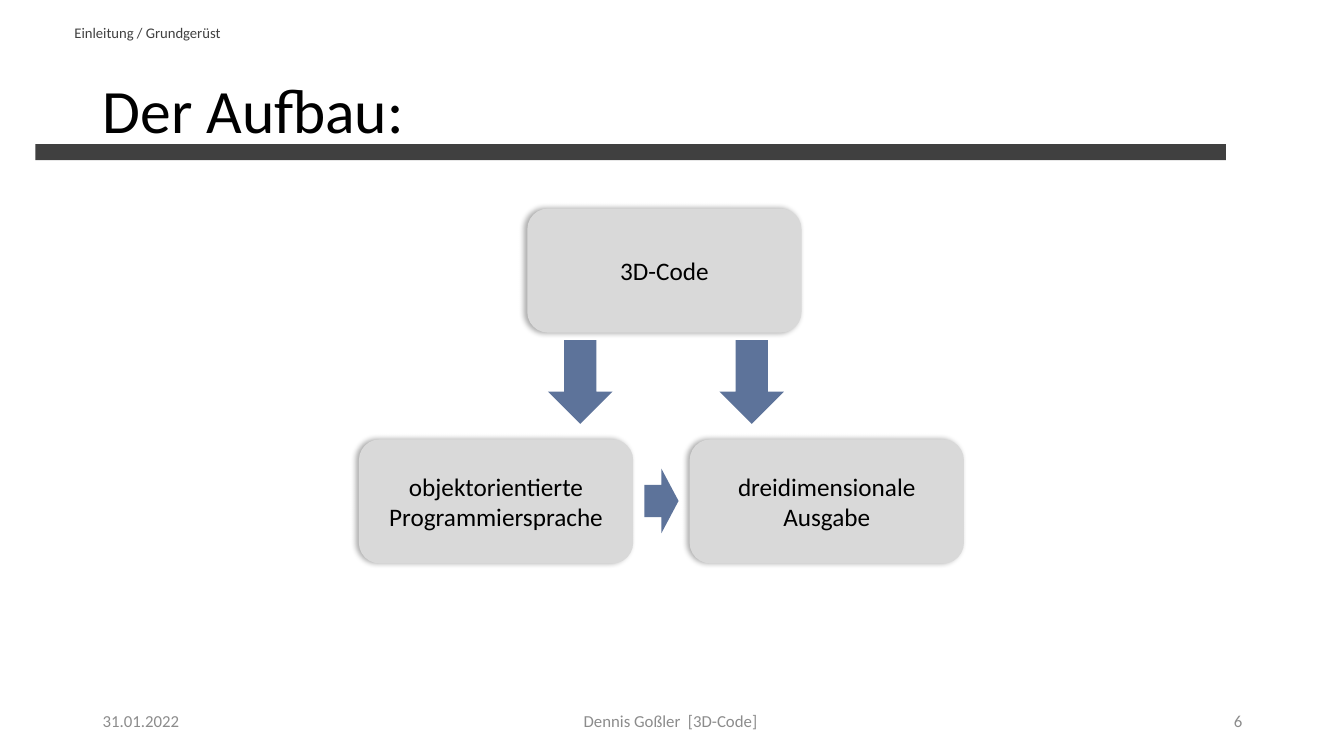
"""Build the slide "Der Aufbau" with its three-box structure diagram."""
from dataclasses import dataclass

import pptx
import pptx.dml.color
import pptx.enum.shapes
import pptx.enum.text
import pptx.oxml
import pptx.oxml.ns
import pptx.shapes.autoshape
import pptx.slide
import pptx.text.text
import pptx.util

Inches = pptx.util.Inches
Kind = pptx.enum.shapes.MSO_SHAPE
Align = pptx.enum.text.PP_ALIGN


@dataclass(frozen=True)
class Theme:
    font: str = "Calibri"
    black: str = "000000"
    dark: str = "404040"
    muted: str = "8C8C8C"
    box: str = "D9D9D9"
    arrow: str = "5D739A"
    title_size: float = 44
    box_size: float = 18
    footer_size: float = 12
    section_size: float = 10.5


@dataclass(frozen=True)
class Area:
    left: float
    top: float
    width: float
    height: float


@dataclass(frozen=True)
class Label:
    text: str
    area: Area
    size: float
    color: str
    align: Align = Align.LEFT
    spacing: float = 1.0


@dataclass(frozen=True)
class Box:
    text: str
    left: float
    top: float


@dataclass(frozen=True)
class Arrow:
    area: Area
    rotation: float = 0


THEME = Theme()
BOX_W, BOX_H = 2.72, 1.23
ROW_TOP, ROW_BOTTOM = 2.07, 4.36
FOOTER_TOP, FOOTER_H = 6.95, 0.4
SHADOW = (
    '<a:effectLst xmlns:a="http://schemas.openxmlformats.org/drawingml/2006/main">'
    '<a:outerShdw blurRad="50800" dist="25400" dir="10800000" algn="ctr" rotWithShape="0">'
    '<a:srgbClr val="000000"><a:alpha val="32000"/></a:srgbClr>'
    "</a:outerShdw></a:effectLst>"
)

LABELS = [
    Label("Der Aufbau:", Area(0.92, 0.4, 11.5, 1.45), THEME.title_size, THEME.black, spacing=0.9),
    Label("Einleitung / Grundgerüst", Area(0.64, 0.12, 3.11, 0.4), THEME.section_size, THEME.dark),
    Label("31.01.2022", Area(0.92, FOOTER_TOP, 3, FOOTER_H), THEME.footer_size, THEME.muted),
    Label("Dennis Goßler  [3D-Code] ", Area(4.42, FOOTER_TOP, 4.5, FOOTER_H),
          THEME.footer_size, THEME.muted, Align.CENTER),
    Label("6", Area(9.42, FOOTER_TOP, 3, FOOTER_H), THEME.footer_size, THEME.muted, Align.RIGHT),
]
BOXES = [
    Box("3D-Code", 5.23, ROW_TOP),
    Box("objektorientierte Programmiersprache", 3.56, ROW_BOTTOM),
    Box("dreidimensionale Ausgabe", 6.84, ROW_BOTTOM),
]
ARROWS = [
    Arrow(Area(5.34, 3.47, 0.83, 0.64), 90),
    Arrow(Area(7.04, 3.47, 0.83, 0.64), 90),
    Arrow(Area(6.39, 4.65, 0.34, 0.64)),
]
BAR = Area(0.35, 1.43, 11.81, 0.16)


def lengths(area: Area) -> tuple[pptx.util.Length, ...]:
    """Return the area's position and size as slide lengths."""
    return tuple(Inches(v) for v in (area.left, area.top, area.width, area.height))


def write(tf: pptx.text.text.TextFrame, text: str, size: float, color: str,
          align: Align, spacing: float = 1.0) -> None:
    """Fill a text frame with one vertically centred paragraph."""
    tf.word_wrap = True
    tf.vertical_anchor = pptx.enum.text.MSO_ANCHOR.MIDDLE
    p = tf.paragraphs[0]
    p.alignment = align
    p.line_spacing = spacing
    r = p.add_run()
    r.text = text
    r.font.name = THEME.font
    r.font.size = pptx.util.Pt(size)
    r.font.color.rgb = pptx.dml.color.RGBColor.from_string(color)


def add_label(s: pptx.slide.Slide, label: Label) -> None:
    """Add a text box."""
    sp = s.shapes.add_textbox(*lengths(label.area))
    write(sp.text_frame, label.text, label.size, label.color, label.align, label.spacing)


def add_solid(s: pptx.slide.Slide, kind: Kind, area: Area,
              color: str) -> pptx.shapes.autoshape.Shape:
    """Add a filled shape without outline or shadow."""
    sp = s.shapes.add_shape(kind, *lengths(area))
    sp.shadow.inherit = False
    sp.fill.solid()
    sp.fill.fore_color.rgb = pptx.dml.color.RGBColor.from_string(color)
    sp.line.fill.background()
    return sp


def add_box(s: pptx.slide.Slide, box: Box) -> None:
    """Add a rounded box with a soft shadow and its caption."""
    area = Area(box.left, box.top, BOX_W, BOX_H)
    sp = add_solid(s, Kind.ROUNDED_RECTANGLE, area, THEME.box)
    effects = sp._element.spPr.find(pptx.oxml.ns.qn("a:effectLst"))
    effects.getparent().replace(effects, pptx.oxml.parse_xml(SHADOW))
    write(sp.text_frame, box.text, THEME.box_size, THEME.black, Align.CENTER)


def add_arrow(s: pptx.slide.Slide, arrow: Arrow) -> None:
    """Add a block arrow."""
    sp = add_solid(s, Kind.RIGHT_ARROW, arrow.area, THEME.arrow)
    sp.rotation = arrow.rotation


def main() -> None:
    """Create and save the presentation."""
    prs = pptx.Presentation()
    prs.slide_width, prs.slide_height = Inches(13.33), Inches(7.5)
    s = prs.slides.add_slide(prs.slide_layouts[6])
    for label in LABELS:
        add_label(s, label)
    for box in BOXES:
        add_box(s, box)
    for arrow in ARROWS:
        add_arrow(s, arrow)
    add_solid(s, Kind.RECTANGLE, BAR, THEME.dark)
    prs.save("out.pptx")


if __name__ == "__main__":
    main()
